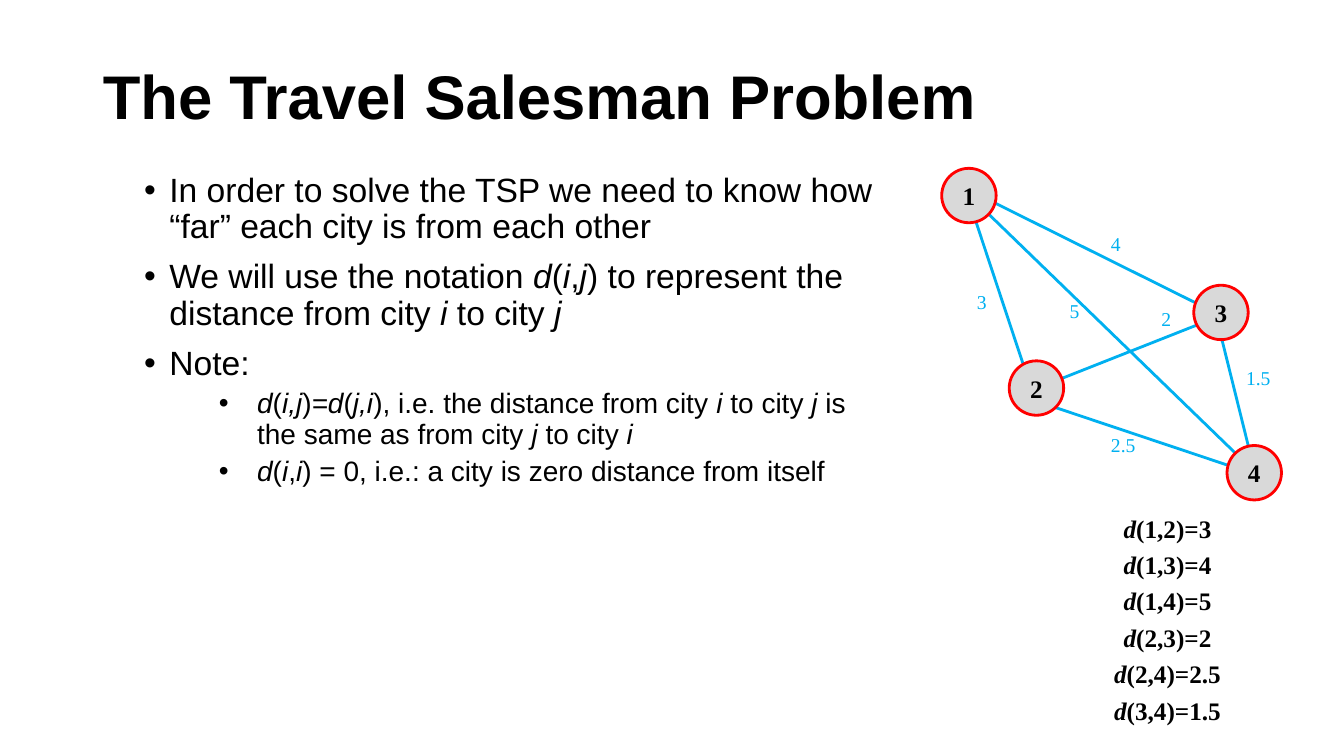
from dataclasses import dataclass

from lxml import etree
from pptx import Presentation
from pptx.dml.color import RGBColor
from pptx.enum import shapes, text
from pptx.oxml import ns
from pptx.util import Inches, Pt

TITLE = "The Travel Salesman Problem"
BULLETS = [
    (0, "In order to solve the TSP we need to know how “far” each city is from each other"),
    (0, "We will use the notation *d*(*i*,*j*) to represent the distance from city *i* to city *j*"),
    (0, "Note:"),
    (1, "*d*(*i,j*)*=d*(*j,i*), i.e. the distance from city *i* to city *j* is the same as from city *j* to city *i*"),
    (1, "*d*(*i*,*i*) = 0, i.e.: a city is zero distance from itself"),
]
CITIES = {1: (9.34, 1.67), 2: (10.01, 3.58), 3: (11.84, 2.83), 4: (12.17, 4.42)}
ROADS = [
    # (cities, distance, start, end, label corner)
    ((1, 2), "3", (9.67, 2.17), (10.15, 3.62), (9.59, 2.83)),
    ((1, 3), "4", (9.84, 2), (12.01, 3.08), (10.92, 2.25)),
    ((1, 4), "5", (9.76, 2.08), (12.34, 4.58), (10.51, 2.92)),
    ((2, 3), "2", (10.34, 3.83), (12.01, 3.17), (11.42, 3)),
    ((2, 4), "2.5", (10.34, 4), (12.34, 4.67), (10.92, 4.25)),
    ((3, 4), "1.5", (12.09, 3.25), (12.42, 4.58), (12.26, 3.58)),
]
CITY_SIZE = 0.54
LEVELS = [(0.25, -0.25, 10), (1.12, -0.38, 5)]


@dataclass(frozen=True)
class Theme:
    ink: RGBColor = RGBColor(0x00, 0x00, 0x00)
    road: RGBColor = RGBColor(0x00, 0xB0, 0xF0)
    city: RGBColor = RGBColor(0xD9, 0xD9, 0xD9)
    ring: RGBColor = RGBColor(0xFF, 0x00, 0x00)
    sans: str = "Arial"
    serif: str = "Times New Roman"
    title: int = 44
    body: tuple = (24, 20)
    graph: int = 18
    label: int = 14
    stroke: int = 2


T = Theme()


def write(p, marked, size, face, color=T.ink, bold=False):
    for i, part in enumerate(marked.split("*")):
        if part:
            r = p.add_run()
            r.text = part
            f = r.font
            f.size, f.name, f.bold, f.italic = Pt(size), face, bold, i % 2 == 1
            f.color.rgb = color


def place(sp, left, top, width, height):
    sp.left, sp.top, sp.width, sp.height = map(Inches, (left, top, width, height))


def next_paragraph(tf, i):
    return tf.add_paragraph() if i else tf.paragraphs[0]


def add_title(s):
    sp = s.shapes.title
    place(sp, 0.92, 0.26, 11.5, 1.45)
    tf = sp.text_frame
    tf.vertical_anchor = text.MSO_ANCHOR.MIDDLE
    tf.auto_size = text.MSO_AUTO_SIZE.NONE
    p = tf.paragraphs[0]
    p.alignment, p.line_spacing = text.PP_ALIGN.LEFT, 0.9
    write(p, TITLE, T.title, T.sans, bold=True)


def add_bullets(s):
    sp = s.placeholders[1]
    place(sp, 1.33, 1.67, 7.44, 5.27)
    tf = sp.text_frame
    tf.auto_size = text.MSO_AUTO_SIZE.NONE
    for i, (level, line) in enumerate(BULLETS):
        p = next_paragraph(tf, i)
        margin, indent, before = LEVELS[level]
        p.level = level
        pPr = p._p.get_or_add_pPr()
        pPr.set("marL", str(Inches(margin)))
        pPr.set("indent", str(Inches(indent)))
        etree.SubElement(pPr, ns.qn("a:buChar")).set("char", "•")
        p.line_spacing = 0.9
        p.space_before = Pt(before if i else 0)
        write(p, line, T.body[level], T.sans)


def add_road(s, start, end):
    line = s.shapes.add_connector(shapes.MSO_CONNECTOR.STRAIGHT, *map(Inches, start + end))
    line.line.color.rgb, line.line.width = T.road, Pt(T.stroke)
    etree.SubElement(line._element.spPr, ns.qn("a:effectLst"))


def add_city(s, number, corner):
    sp = s.shapes.add_shape(shapes.MSO_SHAPE.OVAL, *map(Inches, corner + (CITY_SIZE, CITY_SIZE)))
    sp.shadow.inherit = False
    sp.fill.solid()
    sp.fill.fore_color.rgb = T.city
    sp.line.color.rgb, sp.line.width = T.ring, Pt(T.stroke)
    tf = sp.text_frame
    tf.word_wrap, tf.vertical_anchor = False, text.MSO_ANCHOR.MIDDLE
    p = tf.paragraphs[0]
    p.alignment = text.PP_ALIGN.CENTER
    write(p, str(number), T.graph, T.serif, bold=True)


def add_label(s, distance, corner):
    width = 0.3 if len(distance) == 1 else 0.45
    tf = s.shapes.add_textbox(*map(Inches, corner + (width, 0.34))).text_frame
    tf.word_wrap = True
    write(tf.paragraphs[0], distance, T.label, T.serif, T.road)


def add_distances(s):
    tf = s.shapes.add_textbox(*map(Inches, (9.83, 5.04, 3.5, 2.08))).text_frame
    tf.word_wrap = True
    for i, ((a, b), distance, *_) in enumerate(ROADS):
        p = next_paragraph(tf, i)
        p.alignment = text.PP_ALIGN.CENTER
        p.space_before = Pt(4.4 if i else 0)
        write(p, f"*d*({a},{b})={distance}", T.graph, T.serif, bold=True)


def main():
    prs = Presentation()
    prs.slide_width, prs.slide_height = Inches(13.33), Inches(7.5)
    s = prs.slides.add_slide(prs.slide_layouts[1])
    add_title(s)
    add_bullets(s)
    for _, _, start, end, _ in ROADS:
        add_road(s, start, end)
    for number, corner in CITIES.items():
        add_city(s, number, corner)
    for _, distance, _, _, corner in ROADS:
        add_label(s, distance, corner)
    add_distances(s)
    prs.save("out.pptx")


if __name__ == "__main__":
    main()
